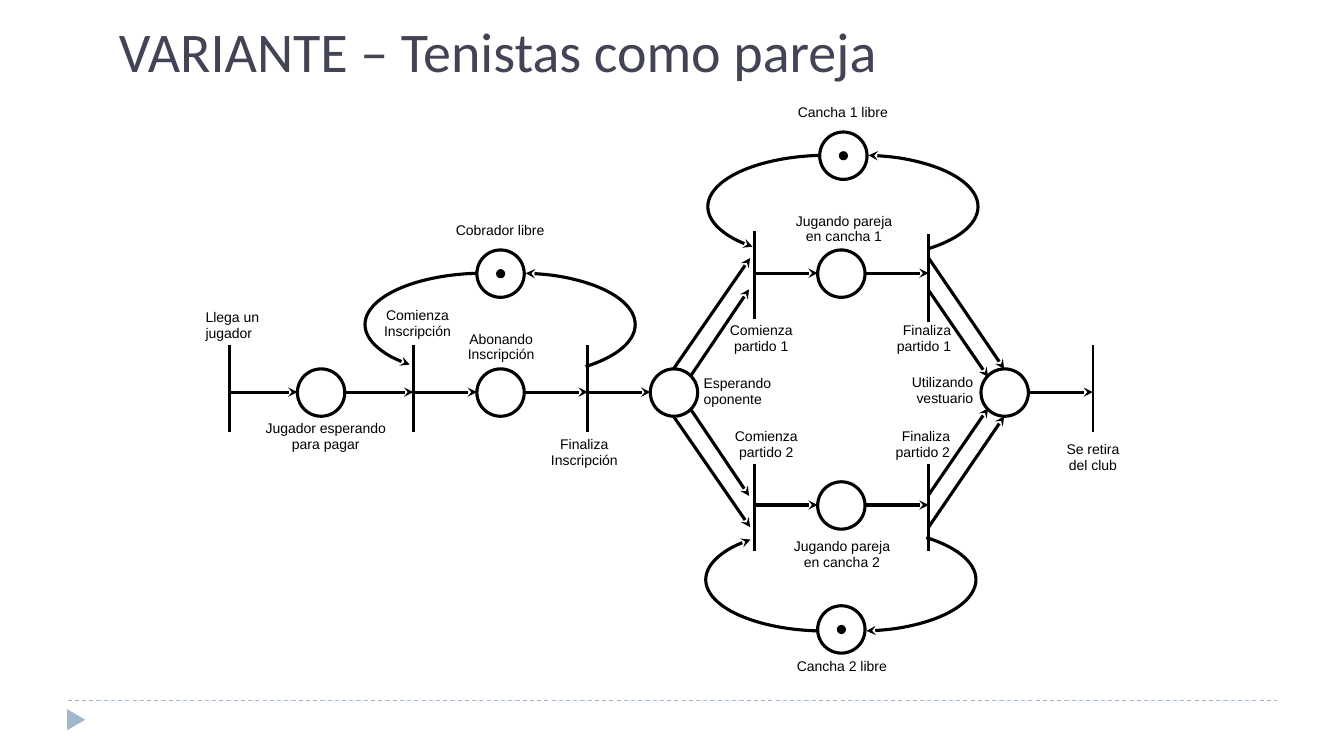
from dataclasses import dataclass

from lxml import etree
from pptx import Presentation
from pptx import util as u
from pptx.dml.color import RGBColor
from pptx.enum import dml, shapes, text
from pptx.oxml.ns import qn

COLS, ROWS = 13.33, 7.5
COL = u.Inches(13.33) / COLS
ROW = u.Inches(7.5) / ROWS
BLACK, ACCENT, TITLE = "000000", "9FB8CD", "424456"
PLACE, TOKEN, BAR = 0.47, 0.08, 0.87
AXIS = 3.895
LEFT, CENTER, RIGHT = text.PP_ALIGN.LEFT, text.PP_ALIGN.CENTER, text.PP_ALIGN.RIGHT


@dataclass(frozen=True)
class Label:
    """A text box in grid units."""
    words: str
    x: float
    y: float
    w: float
    h: float
    align: text.PP_ALIGN = CENTER
    size: float = 10
    font: str = "Arial"
    color: str = BLACK
    spacing: float = 0.93


@dataclass(frozen=True)
class Line:
    """A straight line in grid units."""
    x1: float
    y1: float
    x2: float
    y2: float
    width: float = 2.25
    arrow: bool = True
    color: str = BLACK
    dashed: bool = False


@dataclass(frozen=True)
class Loop:
    """A marked resource place whose two arcs run below or above it."""
    x: float
    y: float
    below: bool = True


def col(n: float) -> u.Emu:
    """Convert columns to a length."""
    return u.Emu(round(n * COL))


def row(n: float) -> u.Emu:
    """Convert rows to a length."""
    return u.Emu(round(n * ROW))


def rgb(value: str) -> RGBColor:
    """Turn a hex string into a colour."""
    return RGBColor.from_string(value)


def add_end(sp, end: str) -> None:
    """Put a stealth arrowhead on headEnd or tailEnd."""
    ln = sp.line._get_or_add_ln()
    etree.SubElement(ln, qn(f"a:{end}"), type="stealth")


def add_line(s, line: Line) -> None:
    """Draw a straight line without a shadow."""
    sp = s.shapes.add_connector(shapes.MSO_CONNECTOR.STRAIGHT, col(line.x1), row(line.y1),
                                col(line.x2), row(line.y2))
    sp.line.color.rgb = rgb(line.color)
    sp.line.width = u.Pt(line.width)
    if line.dashed:
        sp.line.dash_style = dml.MSO_LINE.DASH
    if line.arrow:
        add_end(sp, "tailEnd")
    etree.SubElement(sp._element.spPr, qn("a:effectLst"))


def add_outline(s, kind, x: float, y: float, w: float, h: float,
                width: float = 2.25, fill: str = ""):
    """Draw a black outlined preset shape."""
    sp = s.shapes.add_shape(kind, col(x), row(y), col(w), row(h))
    sp.shadow.inherit = False
    if fill:
        sp.fill.solid()
        sp.fill.fore_color.rgb = rgb(fill)
    else:
        sp.fill.background()
    sp.line.color.rgb = rgb(BLACK)
    sp.line.width = u.Pt(width)
    return sp


def add_place(s, x: float, y: float) -> None:
    """Draw an empty place."""
    add_outline(s, shapes.MSO_SHAPE.OVAL, x, y, PLACE, PLACE)


def add_arc(s, x: float, y: float, h: float, rotation: int, flip: bool,
            stop: float, end: str) -> None:
    """Draw one curved arrow."""
    sp = add_outline(s, shapes.MSO_SHAPE.ARC, x, y, 1.02, h)
    sp.adjustments[0], sp.adjustments[1] = 112.977, stop
    sp.rotation = rotation
    if flip:
        sp._element.spPr.xfrm.set("flipH", "1")
    add_end(sp, end)


def add_loop(s, loop: Loop) -> None:
    """Draw a place with its token and both arcs."""
    inset = (PLACE - TOKEN) / 2
    rise = 0.45 if loop.below else 1.45
    add_arc(s, loop.x - 0.43, loop.y - rise, 2.38, 270, loop.below, 178.814, "tailEnd")
    add_arc(s, loop.x - 0.1, loop.y - rise + 0.03, 2.32, 90, not loop.below, 181.194, "headEnd")
    add_place(s, loop.x, loop.y)
    add_outline(s, shapes.MSO_SHAPE.OVAL, loop.x + inset, loop.y + inset, TOKEN, TOKEN, 0.75, BLACK)


def add_label(s, label: Label) -> None:
    """Write a label with one paragraph per line."""
    sp = s.shapes.add_textbox(col(label.x), row(label.y), col(label.w), row(label.h))
    tf = sp.text_frame
    tf.word_wrap = True
    tf.text = label.words
    for p in tf.paragraphs:
        p.alignment = label.align
        p.line_spacing = label.spacing
        for r in p.runs:
            r.font.size = u.Pt(label.size)
            r.font.name = label.font
            r.font.color.rgb = rgb(label.color)


BARS = [(2.28, 3.42), (4.1, 3.42), (5.83, 3.42), (10.84, 3.42),
        (7.48, 2.29), (9.21, 2.32), (7.48, 4.6), (9.21, 4.6)]
PLACES = [(2.95, 3.66), (4.73, 3.66), (6.45, 3.66), (9.73, 3.66), (8.11, 2.48), (8.11, 4.78)]
LOOPS = [Loop(4.73, 2.48), Loop(8.13, 1.31), Loop(8.11, 6.01, below=False)]
FLOWS = [(3.89, [(2.28, 2.95), (3.42, 4.1), (4.1, 4.73), (5.2, 5.83), (5.83, 6.45), (10.21, 10.84)]),
         (2.71, [(7.48, 8.11), (8.58, 9.21)]),
         (5.01, [(7.48, 8.11), (8.58, 9.21)])]
UPPER_PAIRS = [(6.85, 3.73, 7.43, 2.87), (6.68, 3.66, 7.44, 2.56),
               (9.21, 2.88, 9.8, 3.74), (9.21, 2.56, 9.96, 3.66)]
LABELS = [
    Label("VARIANTE – Tenistas como pareja", 1.08, 0.11, 9.67, 1.08, LEFT, 40, "Calibri", TITLE, 1.0),
    Label("Llega un\njugador", 1.94, 3.03, 0.79, 0.4, LEFT),
    Label("Jugador esperando para pagar", 2.52, 4.13, 1.42, 0.63),
    Label("Comienza Inscripción", 3.68, 3.01, 0.92, 0.38),
    Label("Cobrador libre", 4.33, 2.16, 1.26, 0.32),
    Label("Abonando\nInscripción", 4.38, 3.24, 1.18, 0.43),
    Label("Finaliza\nInscripción", 5.01, 4.29, 1.57, 0.49),
    Label("Esperando oponente", 6.88, 3.68, 1.18, 0.38, LEFT),
    Label("Cancha 1 libre", 7.73, 0.99, 1.26, 0.32),
    Label("Cancha 2 libre", 7.72, 6.49, 1.26, 0.32),
    Label("Jugando pareja en cancha 1", 7.78, 2.07, 1.18, 0.35),
    Label("Jugando pareja en cancha 2", 7.76, 5.3, 1.18, 0.35),
    Label("Comienza partido 1", 7.04, 3.16, 1.02, 0.39),
    Label("Comienza partido 2", 7.09, 4.21, 1.02, 0.39),
    Label("Finaliza partido 1", 8.74, 3.16, 0.79, 0.39, RIGHT),
    Label("Finaliza partido 2", 8.73, 4.21, 0.79, 0.39, RIGHT),
    Label("Utilizando vestuario", 8.88, 3.67, 0.87, 0.38, RIGHT),
    Label("Se retira\ndel club", 10.29, 4.34, 1.1, 0.39),
]


def main() -> None:
    """Build and save the Petri net slide."""
    prs = Presentation()
    prs.slide_width, prs.slide_height = col(COLS), row(ROWS)
    s = prs.slides.add_slide(prs.slide_layouts[6])
    add_line(s, Line(0.67, 6.95, 12.67, 6.95, 0.75, False, ACCENT, True))
    marker = add_outline(s, shapes.MSO_SHAPE.ISOSCELES_TRIANGLE, 0.65, 7.05, 0.21, 0.18, fill=ACCENT)
    marker.line.fill.background()
    marker.rotation = 90
    for loop in LOOPS:
        add_loop(s, loop)
    for x, y in PLACES:
        add_place(s, x, y)
    for x, y in BARS:
        add_line(s, Line(x, y, x, y + BAR, 2, False))
    for y, spans in FLOWS:
        for start, stop in spans:
            add_line(s, Line(start, y, stop, y))
    for x1, y1, x2, y2 in UPPER_PAIRS:
        add_line(s, Line(x1, y1, x2, y2))
        add_line(s, Line(x1, 2 * AXIS - y1, x2, 2 * AXIS - y2))
    for label in LABELS:
        add_label(s, label)
    prs.save("out.pptx")


if __name__ == "__main__":
    main()
